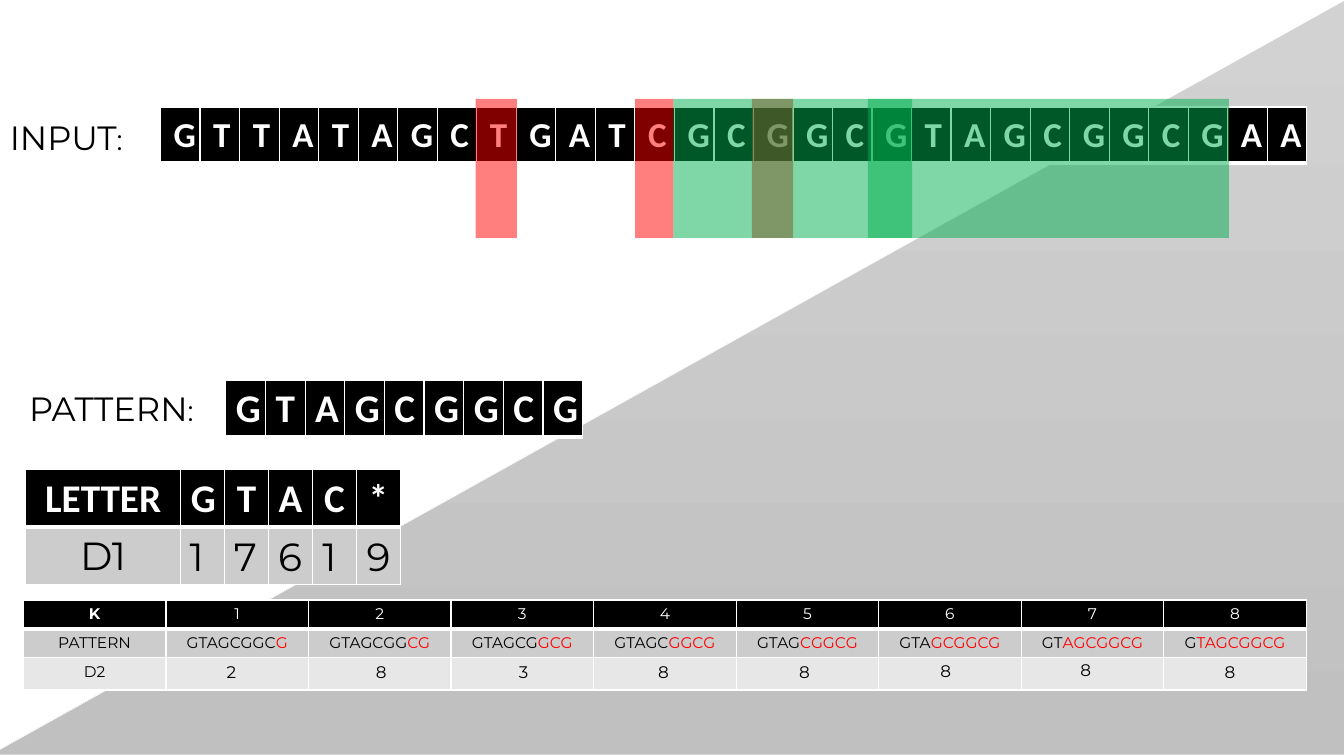
from lxml import etree
from pptx import Presentation
from pptx.dml.color import RGBColor
from pptx.enum.shapes import MSO_SHAPE
from pptx.enum.text import MSO_AUTO_SIZE, PP_ALIGN
from pptx.oxml.ns import qn
from pptx.util import Pt

CENTER, LEFT = PP_ALIGN.CENTER, PP_ALIGN.LEFT
FIT_SHAPE = MSO_AUTO_SIZE.SHAPE_TO_FIT_TEXT
TRIANGLE, RECTANGLE = MSO_SHAPE.ISOSCELES_TRIANGLE, MSO_SHAPE.RECTANGLE
BLANK_LAYOUT = 6
BODY, LETTERS = "Montserrat", "Calibri"
COLORS = {
    "black": "000000", "white": "FFFFFF", "red": "FF0000", "green": "00B050",
    "band": "CCCCCC", "light_band": "E7E7E7",
    "backdrop_top": "D2D2D2", "backdrop_bottom": "C0C0C0",
}
INPUT = "GTTATAGCTGATCGCGGCGTAGCGGCGAA"
PATTERN = "GTAGCGGCG"
D1 = {"G": "1", "T": "7", "A": "6", "C": "1", "*": "9"}
D2_LEFT_TOP = [
    ("2", 154.8, 469.4), ("8", 261.4, 469.4), ("3", 363.6, 469.4),
    ("8", 463, 469.4), ("8", 563.8, 469.4), ("8", 664.6, 468.7),
    ("8", 764.6, 468), ("8", 867.6, 469.4),
]
# left, width and colour of each compared stretch of the input
COMPARISONS = [
    (339.8, 29.5, "red"), (537.1, 29.5, "red"), (481, 170.6, "green"),
    (453.6, 27.4, "red"), (619.9, 257.8, "green"),
]


def rgb(color):
    return RGBColor.from_string(COLORS[color])


def add_text(paragraph, text, size=11, font=BODY, color="black", bold=False, align=LEFT):
    paragraph.alignment = align
    run = paragraph.add_run()
    run.text = text
    run.font.size = Pt(size)
    run.font.name = font
    run.font.bold = bold
    run.font.color.rgb = rgb(color)


def add_label(slide, box, text, **style):
    """Place a text box and return its paragraph."""
    frame = slide.shapes.add_textbox(*map(Pt, box)).text_frame
    frame.word_wrap = True
    frame.auto_size = FIT_SHAPE
    add_text(frame.paragraphs[0], text, **style)
    return frame.paragraphs[0]


def add_heading(slide, box, text):
    add_text(add_label(slide, box, text, size=24), ":", size=20)


def format_cell(cell, fill, bottom=1):
    """Give a cell white borders, then its fill."""
    properties = cell._tc.get_or_add_tcPr()
    for side, width in (("L", 1), ("R", 1), ("T", 1), ("B", bottom)):
        line = etree.SubElement(properties, qn(f"a:ln{side}"), w=str(Pt(width)))
        solid = etree.SubElement(line, qn("a:solidFill"))
        etree.SubElement(solid, qn("a:srgbClr"), val=COLORS["white"])
    cell.fill.solid()
    cell.fill.fore_color.rgb = rgb(fill)


def add_grid(slide, box, widths, heights, fills, empty_size=11):
    """Add a table whose first row has a thick lower border."""
    frame = slide.shapes.add_table(len(heights), len(widths), *map(Pt, box))
    table = frame.table
    for column, width in zip(table.columns, widths):
        column.width = Pt(width)
    for index, (row, height, fill) in enumerate(zip(table.rows, heights, fills)):
        row.height = Pt(height)
        for cell in row.cells:
            format_cell(cell, fill, bottom=1 if index else 3)
            end = cell.text_frame.paragraphs[0]._p.get_or_add_endParaRPr()
            end.set("sz", str(empty_size * 100))
    return table


def fill_cell(cell, text, **style):
    add_text(cell.text_frame.paragraphs[0], text, align=CENTER, **style)


def fill_letters(table, letters, size):
    for cell, letter in zip(table.rows[0].cells, letters):
        fill_cell(cell, letter, size=size, font=LETTERS, color="white", bold=True)


def draw_backdrop(slide, box):
    triangle = slide.shapes.add_shape(TRIANGLE, *map(Pt, box))
    triangle.adjustments[0] = 1
    triangle.shadow.inherit = False
    triangle.fill.gradient()
    triangle.fill.gradient_angle = 270
    for stop, color in zip(triangle.fill.gradient_stops, ("backdrop_top", "backdrop_bottom")):
        stop.color.rgb = rgb(color)
    triangle.line.color.rgb = rgb("white")
    triangle.line.width = Pt(0.5)


def draw_d2_table(slide, box):
    left, top, width, height = box
    columns = len(PATTERN)
    table = add_grid(slide, box, [width / columns] * columns, [16.7, 16.7, 23],
                     ["black", "band", "light_band"])
    fill_cell(table.cell(0, 0), "K", color="white", bold=True)
    fill_cell(table.cell(1, 0), "PATTERN")
    fill_cell(table.cell(2, 0), "D2")
    for k in range(1, columns):
        fill_cell(table.cell(0, k), str(k), color="white")
        fill_cell(table.cell(1, k), PATTERN[:-k])
        fill_cell(table.cell(1, k), PATTERN[-k:], color="red")
    for shift, value_left, value_top in D2_LEFT_TOP:
        add_label(slide, (value_left, value_top, 27.4, 21.8), shift, size=12)


def draw_d1_table(slide, box):
    left, top, width, height = box
    first = 110.9
    step = (width - first) / len(D1)
    table = add_grid(slide, box, [first] + [step] * len(D1), [39.6, 39.6],
                     ["black", "band"], empty_size=28)
    fill_letters(table, ["LETTER", *D1], 28)
    fill_cell(table.cell(1, 0), "D1", size=28)
    for index, shift in enumerate(D1.values()):
        value_left = left + first - 0.7 + index * 31.6
        add_label(slide, (value_left, top + 41, 25.2, 41.2), shift, size=28)


def draw_sequence(slide, box, letters, size, row_height, margins=(7.2, 3.6)):
    left, top, width, height = box
    table = add_grid(slide, box, [width / len(letters)] * len(letters),
                     [row_height], ["black"], empty_size=size)
    side, edge = map(Pt, margins)
    for cell in table.rows[0].cells:
        cell.margin_left = cell.margin_right = side
        cell.margin_top = cell.margin_bottom = edge
    fill_letters(table, letters, size)


def draw_comparisons(slide, top, height):
    for left, width, color in COMPARISONS:
        stretch = slide.shapes.add_shape(RECTANGLE, Pt(left), Pt(top), Pt(width), Pt(height))
        stretch.shadow.inherit = False
        stretch.fill.solid()
        stretch.fill.fore_color.rgb = rgb(color)
        shade = stretch.fill._xPr.find(f"{qn('a:solidFill')}/{qn('a:srgbClr')}")
        etree.SubElement(shade, qn("a:alpha"), val="50000")
        stretch.line.fill.background()


def main():
    deck = Presentation()
    deck.slide_width, deck.slide_height = Pt(960), Pt(540)
    slide = deck.slides.add_slide(deck.slide_layouts[BLANK_LAYOUT])
    draw_backdrop(slide, (-7.2, -0.7, 969.1, 540))
    draw_d2_table(slide, (16.7, 428.5, 916.6, 64))
    draw_d1_table(slide, (18.2, 335.6, 267.8, 81.4))
    add_heading(slide, (13.7, 273.6, 162, 36), "PATTERN")
    draw_sequence(slide, (161.3, 271.4, 255, 41), PATTERN, 28, 34.6)
    draw_sequence(slide, (114.7, 76.4, 819.5, 39.6), INPUT, 25, 38.9, margins=(9.4, 5))
    add_heading(slide, (0, 79.9, 131.8, 36), "INPUT")
    draw_comparisons(slide, 70.6, 99.4)
    deck.save("out.pptx")


if __name__ == "__main__":
    main()
